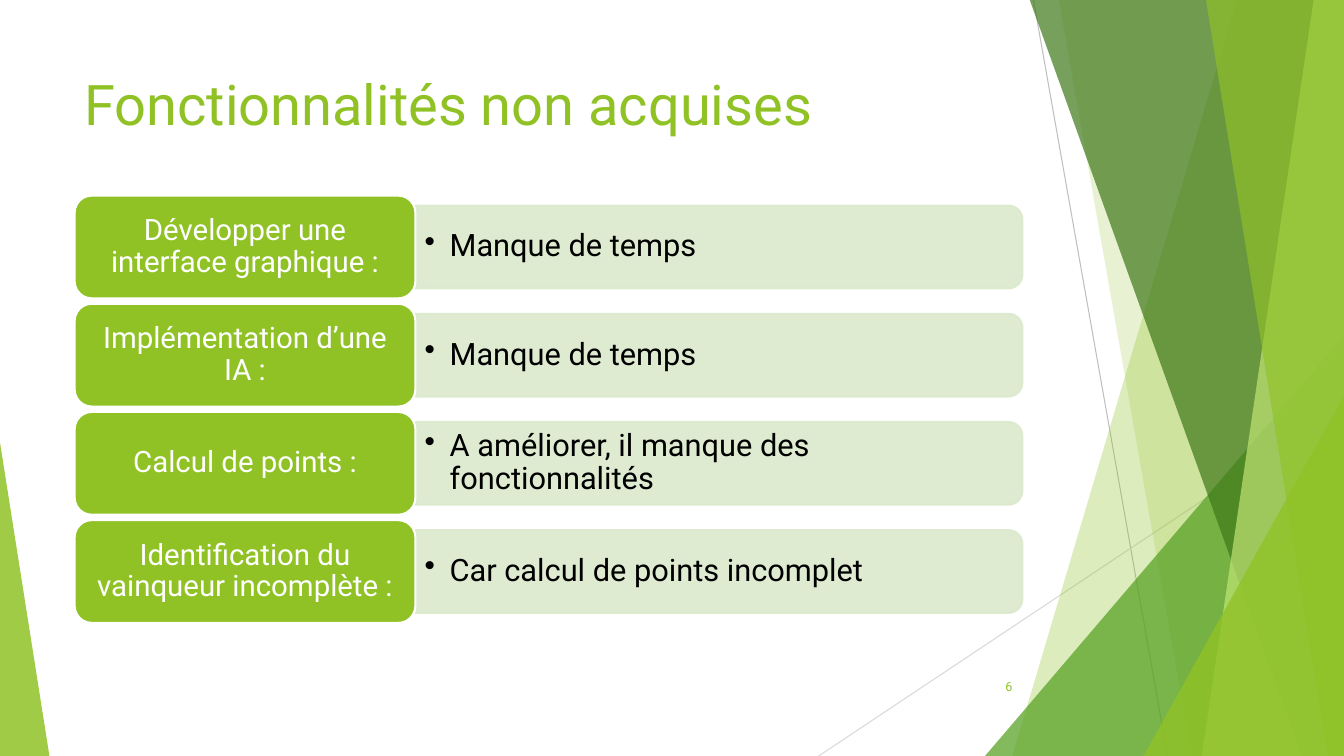
from lxml import etree
from pptx import Presentation, util as u
from pptx.dml.color import RGBColor
from pptx.enum import shapes, text
from pptx.oxml.ns import qn

GREEN, PALE, WHITE = "90C226", "DBE9CD", "FFFFFF"


def color(value):
    return RGBColor.from_string(value)


class SlideBuilder:
    """Draws styled elements on the current slide."""

    font = "Roboto"

    def __init__(self, page):
        self.page = page

    def paint(self, shape, fill, opacity=100, line=None):
        shape.shadow.inherit = False
        shape.fill.solid()
        shape.fill.fore_color.rgb = color(fill)
        if line:
            shape.line.color.rgb = color(line)
            shape.line.width = u.Pt(1.5)
        else:
            shape.line.fill.background()
        if opacity < 100:
            for node in shape._element.spPr.iter(qn("a:srgbClr")):
                etree.SubElement(node, qn("a:alpha"), val=str(opacity * 1000))

    def line(self, start, end, stroke):
        points = [u.Inches(value) for value in (*start, *end)]
        line = self.page.shapes.add_connector(shapes.MSO_CONNECTOR.STRAIGHT, *points)
        line.line.color.rgb = color(stroke)
        line.line.width = u.Pt(0.75)
        etree.SubElement(line._element.spPr, qn("a:effectLst"))

    def polygon(self, corners, fill, opacity):
        points = [(u.Inches(x), u.Inches(y)) for x, y in corners]
        outline = self.page.shapes.build_freeform(*points[0], scale=1.0)
        outline.add_line_segments(points[1:], close=True)
        self.paint(outline.convert_to_shape(), fill, opacity)

    def shape(self, kind, place, fill, opacity=100, line=None, rotation=0, adjust=None):
        shape = self.page.shapes.add_shape(kind, *map(u.Inches, place))
        shape.rotation = rotation
        if adjust is not None:
            shape.adjustments[0] = adjust
        self.paint(shape, fill, opacity, line)
        return shape

    def fill_text(self, box, words, size, ink, bullet=False, spacing=1.0,
                  align=text.PP_ALIGN.LEFT, anchor=text.MSO_ANCHOR.MIDDLE, margins=(0.1, 0.05)):
        side, edge = map(u.Inches, margins)
        frame = box.text_frame
        frame_format = {"word_wrap": True, "vertical_anchor": anchor, "margin_left": side,
                        "margin_right": side, "margin_top": edge, "margin_bottom": edge}
        for name, value in frame_format.items():
            setattr(frame, name, value)
        para = frame.paragraphs[0]
        para.alignment = align
        para.line_spacing = spacing
        if bullet:
            properties = para._p.get_or_add_pPr()
            properties.set("marL", str(u.Inches(0.25)))
            properties.set("indent", str(u.Inches(-0.25)))
            etree.SubElement(properties, qn("a:buChar"), char="•")
        span = para.add_run()
        span.text = words
        for name, value in {"name": self.font, "size": u.Pt(size)}.items():
            setattr(span.font, name, value)
        span.font.color.rgb = color(ink)

    def text(self, place, words, size, ink, **style):
        box = self.page.shapes.add_textbox(*map(u.Inches, place))
        self.fill_text(box, words, size, ink, **style)

    def band(self, top_left, top_right, bottom_right, bottom_left, fill, opacity):
        top, bottom = -0.01, 7.5
        self.polygon([(top_left, top), (top_right, top),
                      (bottom_right, bottom), (bottom_left, bottom)], fill, opacity)

    def triangle(self, place, apex, fill, opacity):
        self.shape(shapes.MSO_SHAPE.ISOSCELES_TRIANGLE, place, fill, opacity, adjust=apex)

    def feature(self, top, label, reason):
        self.shape(shapes.MSO_SHAPE.ROUND_2_SAME_RECTANGLE, (6.72, top - 2.5, 0.82, 6.02),
                   PALE, 90, line=PALE, rotation=90)
        self.text((4.12, top + 0.14, 5.98, 0.74), reason, 22, "000000",
                  bullet=True, spacing=0.9, margins=(0.09, 0.05))
        card = self.shape(shapes.MSO_SHAPE.ROUNDED_RECTANGLE, (0.74, top, 3.38, 1.02),
                          GREEN, line=WHITE)
        self.fill_text(card, label, 21, WHITE, spacing=0.9,
                       align=text.PP_ALIGN.CENTER, margins=(0.09, 0.04))


def main():
    deck = Presentation()
    deck.slide_width, deck.slide_height = u.Inches(13.33), u.Inches(7.5)
    slide = SlideBuilder(deck.slides.add_slide(deck.slide_layouts[6]))

    slide.line((10.25, 0), (11.58, 7.5), "BFBFBF")
    slide.line((13.33, 4.03), (8.12, 7.5), "D9D9D9")
    slide.band(12.27, 13.33, 13.33, 10.04, GREEN, 30)
    slide.band(10.5, 13.33, 13.33, 11.82, GREEN, 20)
    slide.triangle((9.77, 3.33, 3.56, 4.17), 1, "54A021", 72)
    slide.band(10.21, 13.33, 13.33, 12.91, "3F7819", 70)
    slide.band(13.03, 13.33, 13.33, 11.92, "C0E474", 70)
    slide.band(11.96, 13.33, 13.33, 13.17, GREEN, 65)
    slide.triangle((11.34, 3.93, 1.99, 3.57), 1, GREEN, 80)
    slide.triangle((0, 4.39, 0.49, 3.11), 0, GREEN, 85)

    slide.text((0.74, 0.13, 9.4, 1.28), "Fonctionnalités non acquises", 40, GREEN,
               anchor=text.MSO_ANCHOR.BOTTOM)

    features = [
        ("Développer une interface graphique :", "Manque de temps"),
        ("Implémentation d’une IA :", "Manque de temps"),
        ("Calcul de points :", "A améliorer, il manque des fonctionnalités"),
        ("Identification du vainqueur incomplète :", "Car calcul de points incomplet"),
    ]
    first_top, last_top = 1.94, 5.16
    pitch = (last_top - first_top) / (len(features) - 1)
    for row, (label, reason) in enumerate(features):
        slide.feature(first_top + row * pitch, label, reason)

    slide.text((9.39, 6.61, 0.75, 0.4), "6", 9, GREEN, align=text.PP_ALIGN.RIGHT)
    deck.save("out.pptx")


if __name__ == "__main__":
    main()
